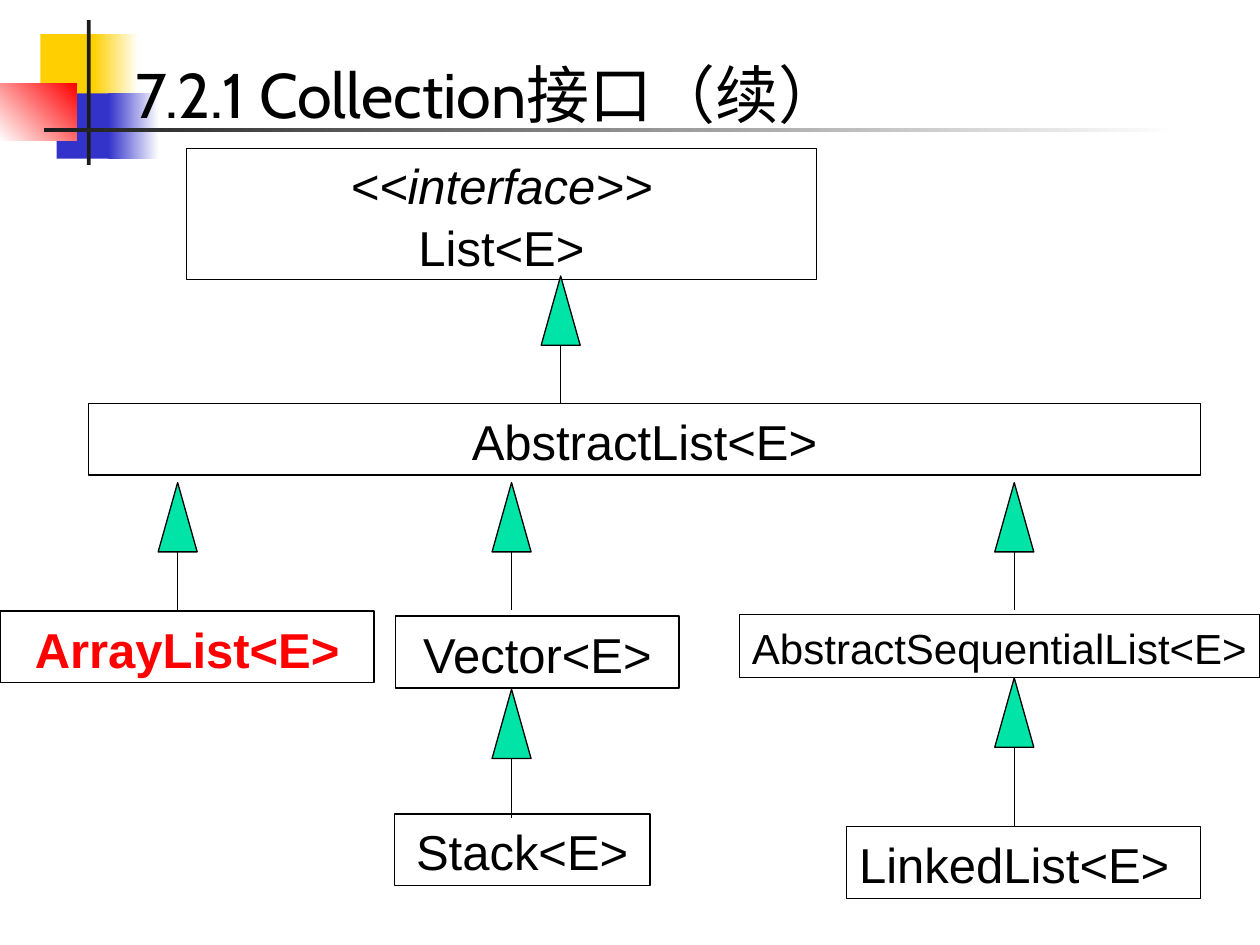
from lxml.etree import SubElement
from pptx import Presentation
from pptx.dml.color import RGBColor
from pptx.enum.shapes import MSO_CONNECTOR as Connector, MSO_SHAPE as Shape
from pptx.enum.text import MSO_ANCHOR as Anchor, PP_ALIGN as Align
from pptx.oxml.ns import qn
from pptx.util import Inches, Pt

COLORS = {
    "black": "000000", "white": "FFFFFF", "ink": "1C1C1C", "yellow": "FFCF01",
    "blue": "3333CC", "red": "FF0000", "green": "00E4A8",
}
LINE_WIDTH = Pt(0.75)
ARROW_WIDTH, ARROW_HEIGHT = 0.31, 0.55


def color(name):
    return RGBColor.from_string(COLORS[name])


def add_filled(kind, bounds, fill, outline=None):
    shape = slide.shapes.add_shape(kind, *map(Inches, bounds))
    shape.shadow.inherit = False
    if isinstance(fill, str):
        shape.fill.solid()
        shape.fill.fore_color.rgb = color(fill)
    else:
        start, end, angle = fill
        shape.fill.gradient()
        shape.fill.gradient_angle = angle
        for stop, name, position in zip(shape.fill.gradient_stops, (start, end), (0, 1)):
            stop.color.rgb = color(name)
            stop.position = position
    if outline:
        shape.line.color.rgb = color(outline)
        shape.line.width = LINE_WIDTH
    else:
        shape.line.fill.background()
    return shape


presentation = Presentation()
presentation.slide_width, presentation.slide_height = Inches(10), Inches(7.5)
slide = presentation.slides.add_slide(presentation.slide_layouts[6])

decorations = [
    ((0.32, 0.27, 0.48, 0.52), "yellow"),
    ((0.74, 0.27, 0.36, 0.52), ("yellow", "white", 0)),
    ((0.45, 0.74, 0.46, 0.52), "blue"),
    ((0.86, 0.74, 0.4, 0.52), ("blue", "white", 0)),
    ((0, 0.66, 0.61, 0.46), ("white", "red", 45)),
    ((0.69, 0.16, 0.03, 1.15), "ink"),
    ((0.35, 1.02, 9, 0.03), ("ink", "white", 0)),
]
for bounds, fill in decorations:
    add_filled(Shape.RECTANGLE, bounds, fill)

base = {"name": "Arial", "size": Pt(28), "bold": False, "italic": False}
class_boxes = [
    ((1.48, 1.18, 5, 1.04), ["<<interface>>", "List<E>"], Align.CENTER, "black", {}),
    ((0.7, 3.2, 8.83, 0.57), ["AbstractList<E>"], Align.CENTER, "black", {}),
    ((0, 4.85, 2.97, 0.57), ["ArrayList<E>"], Align.CENTER, "red", {"bold": True}),
    ((3.14, 4.89, 2.25, 0.57), ["Vector<E>"], Align.CENTER, "black", {}),
    ((5.87, 4.88, 4.13, 0.5), ["AbstractSequentialList<E>"], Align.LEFT, "black", {"size": Pt(24)}),
    ((6.72, 6.56, 2.81, 0.57), ["LinkedList<E>"], Align.LEFT, "black", {}),
    ((3.13, 6.46, 2.03, 0.57), ["Stack<E>"], Align.CENTER, "black", {}),
]
for bounds, lines, alignment, text_color, changes in class_boxes:
    frame = add_filled(Shape.RECTANGLE, bounds, "white", "black").text_frame
    frame.word_wrap = True
    frame.vertical_anchor = Anchor.MIDDLE
    frame.text = "\n".join(lines)
    for paragraph in frame.paragraphs:
        paragraph.alignment = alignment
        paragraph.line_spacing = 1.05
        stereotype = {"italic": paragraph.text.startswith("<<")}
        for attribute, value in (base | changes | stereotype).items():
            setattr(paragraph.font, attribute, value)
        paragraph.font.color.rgb = color(text_color)

inheritance_arrows = [
    (4.45, 2.19, 3.2),
    (1.41, 3.83, 4.84),
    (4.06, 3.83, 4.84),
    (8.05, 3.83, 4.84),
    (8.05, 5.38, 6.56),
    (4.06, 5.47, 6.49),
]
for center, top, bottom in inheritance_arrows:
    head = (center - ARROW_WIDTH / 2, top, ARROW_WIDTH, ARROW_HEIGHT)
    add_filled(Shape.ISOSCELES_TRIANGLE, head, "green", "black")
    ends = (center, top + ARROW_HEIGHT, center, bottom)
    stem = slide.shapes.add_connector(Connector.STRAIGHT, *map(Inches, ends))
    stem.line.color.rgb = color("black")
    stem.line.width = LINE_WIDTH
    SubElement(stem._element.spPr, qn("a:effectLst"))

title = slide.shapes.add_textbox(*map(Inches, (0.98, 0.39, 6.39, 0.7)))
title.text_frame.word_wrap = False
paragraph = title.text_frame.paragraphs[0]
paragraph.text = "7.2.1 Collection接口（续）"
for attribute, value in {"name": "Cabin", "size": Pt(36)}.items():
    setattr(paragraph.font, attribute, value)
paragraph.font.color.rgb = color("black")

presentation.save("out.pptx")
